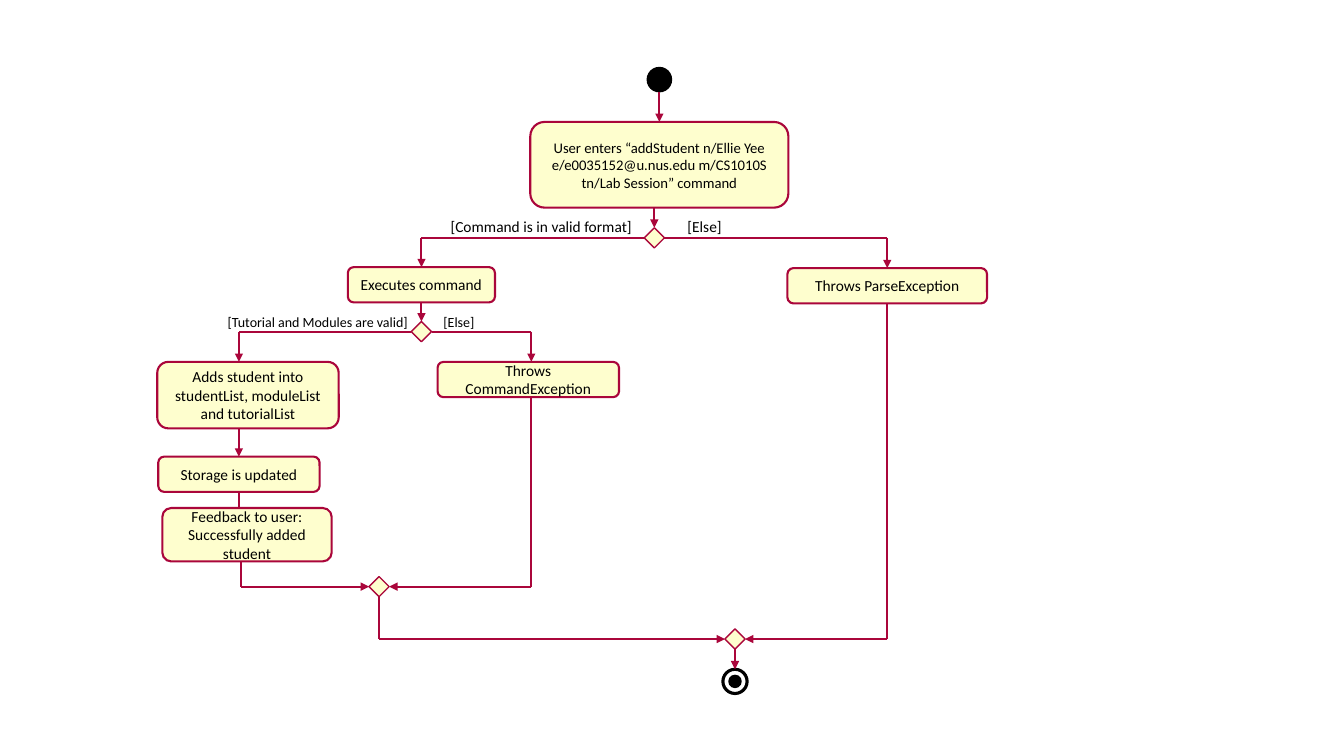
"""Draw the activity diagram of the addStudent command."""
import itertools

import lxml.etree
import pptx
import pptx.dml.color
import pptx.enum.shapes
import pptx.enum.text
import pptx.oxml.ns
import pptx.util

Inches = pptx.util.Inches
Pt = pptx.util.Pt
Rgb = pptx.dml.color.RGBColor.from_string
Kind = pptx.enum.shapes.MSO_SHAPE
Align = pptx.enum.text.PP_ALIGN
Anchor = pptx.enum.text.MSO_ANCHOR
Fit = pptx.enum.text.MSO_AUTO_SIZE
qn = pptx.oxml.ns.qn

theme = {
    "font": "Calibri", "ink": Rgb("000000"), "edge": Rgb("AA063B"), "fill": Rgb("FEFECE"),
    "body": 11, "long": 10.5, "small": 10,
    "thin": 1, "line": 1.5, "ring": 2.25,
}

deck = pptx.Presentation()
deck.slide_width = Inches(13.33)
deck.slide_height = Inches(7.5)
slide = deck.slides.add_slide(deck.slide_layouts[6])


def write(text, frame, size="body", align=Align.CENTER, anchor=Anchor.MIDDLE, wrap=True, fit=Fit.NONE):
    frame.word_wrap = wrap
    frame.auto_size = fit
    frame.vertical_anchor = anchor
    para = frame.paragraphs[0]
    para.alignment = align
    run = para.add_run()
    run.text = text
    run.font.name = theme["font"]
    run.font.size = Pt(theme[size])
    run.font.color.rgb = theme["ink"]


def draw(kind, box, fill="fill", edge="edge", width="line"):
    shape = slide.shapes.add_shape(kind, *map(Inches, box))
    shape.shadow.inherit = False
    if fill:
        shape.fill.solid()
        shape.fill.fore_color.rgb = theme[fill]
    else:
        shape.fill.background()
    shape.line.color.rgb = theme[edge]
    shape.line.width = Pt(theme[width])
    return shape


nodes = {
    "start": draw(Kind.OVAL, (6.42, 0.67, 0.24, 0.24), "ink", "ink", "thin"),
    "end": draw(Kind.OVAL, (7.17, 6.64, 0.24, 0.24), None, "ink", "ring"),
}
draw(Kind.OVAL, (7.23, 6.7, 0.12, 0.12), "ink", "ink", "thin")

steps = [
    ("enter", "User enters “addStudent n/Ellie Yee e/e0035152@u.nus.edu m/CS1010S tn/Lab Session” command",
     (5.26, 1.21, 2.56, 0.85), "long"),
    ("run", "Executes command", (3.45, 2.65, 1.46, 0.35), "body"),
    ("parse", "Throws ParseException", (7.81, 2.66, 1.98, 0.35), "body"),
    ("add", "Adds student into studentList, moduleList and tutorialList", (1.56, 3.59, 1.8, 0.66), "body"),
    ("fail", "Throws CommandException", (4.34, 3.59, 1.8, 0.35), "body"),
    ("store", "Storage is updated", (1.57, 4.53, 1.6, 0.35), "body"),
    ("reply", "Feedback to user: Successfully added student", (1.61, 5.04, 1.68, 0.53), "body"),
]
for name, text, box, size in steps:
    nodes[name] = draw(Kind.ROUNDED_RECTANGLE, box)
    write(text, nodes[name].text_frame, size=size)

gates = {"format": (6.49, 2.36), "valid": (4.18, 3.29), "merge": (3.76, 5.82), "close": (7.29, 6.34)}
for name, (x, y) in gates.items():
    nodes[name] = draw(Kind.DIAMOND, (x - 0.1, y - 0.1, 0.2, 0.2), width="thin")

TOP, LEFT, BOTTOM, RIGHT = range(4)
routes = [
    ([(6.54, 0.91), (6.54, 1.21)], None, ("enter", TOP), True),
    ([(6.49, 2.06), (6.49, 2.26)], None, ("format", TOP), True),
    ([(6.39, 2.36), (4.18, 2.36), (4.18, 2.65)], ("format", LEFT), ("run", TOP), True),
    ([(6.59, 2.36), (8.8, 2.36), (8.8, 2.66)], ("format", RIGHT), ("parse", TOP), True),
    ([(4.18, 3), (4.18, 3.19)], ("run", BOTTOM), ("valid", TOP), True),
    ([(4.08, 3.29), (2.37, 3.29), (2.37, 3.59)], ("valid", LEFT), None, True),
    ([(4.28, 3.29), (5.27, 3.29), (5.27, 3.59)], ("valid", RIGHT), None, True),
    ([(2.37, 4.25), (2.37, 4.53)], None, ("store", TOP), True),
    ([(2.37, 4.88), (2.37, 5.04)], ("store", BOTTOM), None, False),
    ([(2.39, 5.57), (2.39, 5.82), (3.66, 5.82)], None, ("merge", LEFT), True),
    ([(5.27, 3.94), (5.27, 5.82), (3.86, 5.82)], None, ("merge", RIGHT), True),
    ([(3.76, 5.92), (3.76, 6.34), (7.19, 6.34)], ("merge", BOTTOM), ("close", LEFT), True),
    ([(8.8, 3.01), (8.8, 6.34), (7.39, 6.34)], ("parse", BOTTOM), ("close", RIGHT), True),
    ([(7.29, 6.44), (7.29, 6.64)], ("close", BOTTOM), ("end", TOP), True),
]
for points, begin, end, arrow in routes:
    links = []
    for pair in itertools.pairwise(points):
        ends = [Inches(value) for point in pair for value in point]
        link = slide.shapes.add_connector(pptx.enum.shapes.MSO_CONNECTOR.STRAIGHT, *ends)
        link.line.color.rgb = theme["edge"]
        link.line.width = Pt(theme["line"])
        lxml.etree.SubElement(link._element.spPr, qn("a:effectLst"))
        links.append(link)
    if begin:
        links[0].begin_connect(nodes[begin[0]], begin[1])
    if end:
        links[-1].end_connect(nodes[end[0]], end[1])
    if arrow:
        line = links[-1]._element.spPr.find(qn("a:ln"))
        lxml.etree.SubElement(line, qn("a:tailEnd"), type="triangle")

labels = [
    ("[Command is in valid format]", (4.37, 2.1, 2.01, 0.29), "body"),
    ("[Else]", (6.72, 2.1, 0.54, 0.29), "body"),
    ("[Tutorial and Modules are valid]", (2.16, 3.06, 2.02, 0.27), "small"),
    ("[Else]", (4.3, 3.06, 0.51, 0.27), "small"),
]
for text, box, size in labels:
    label = slide.shapes.add_textbox(*map(Inches, box))
    write(text, label.text_frame, size=size, align=Align.LEFT, anchor=Anchor.TOP,
          wrap=False, fit=Fit.SHAPE_TO_FIT_TEXT)

deck.save("out.pptx")
